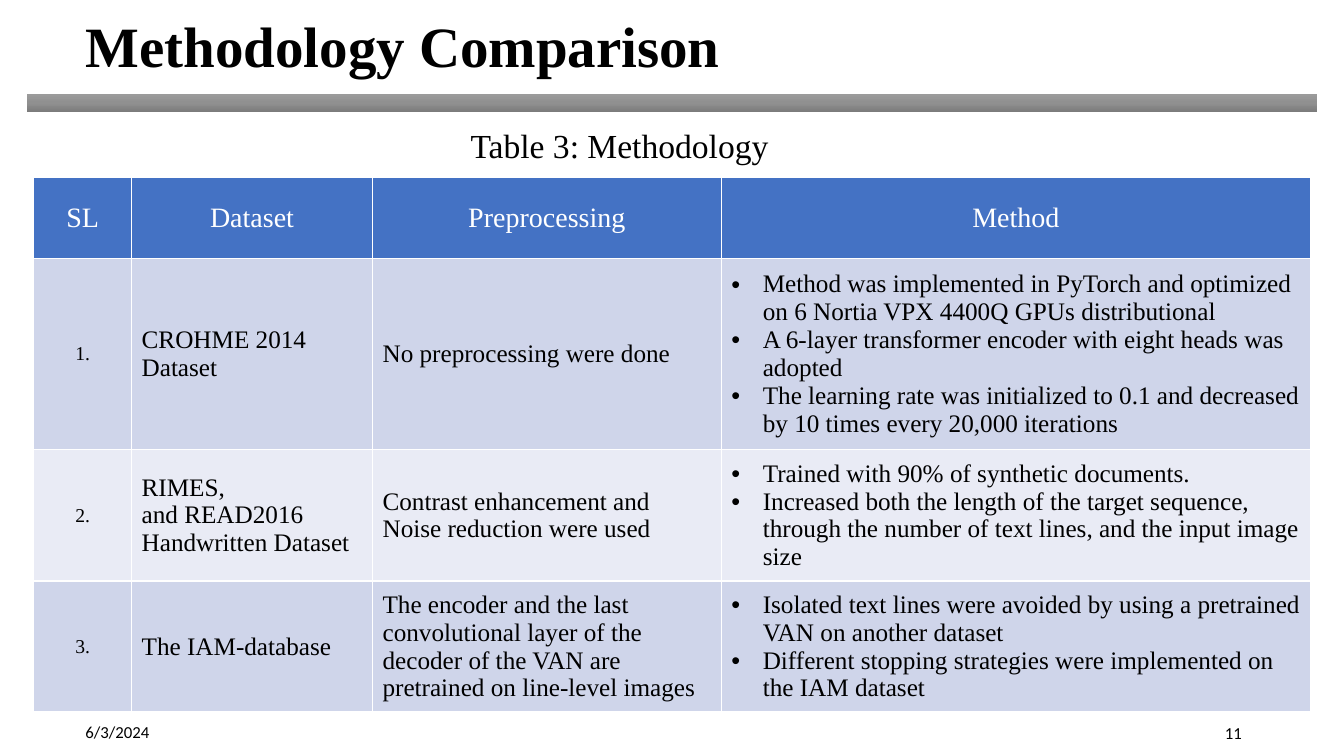
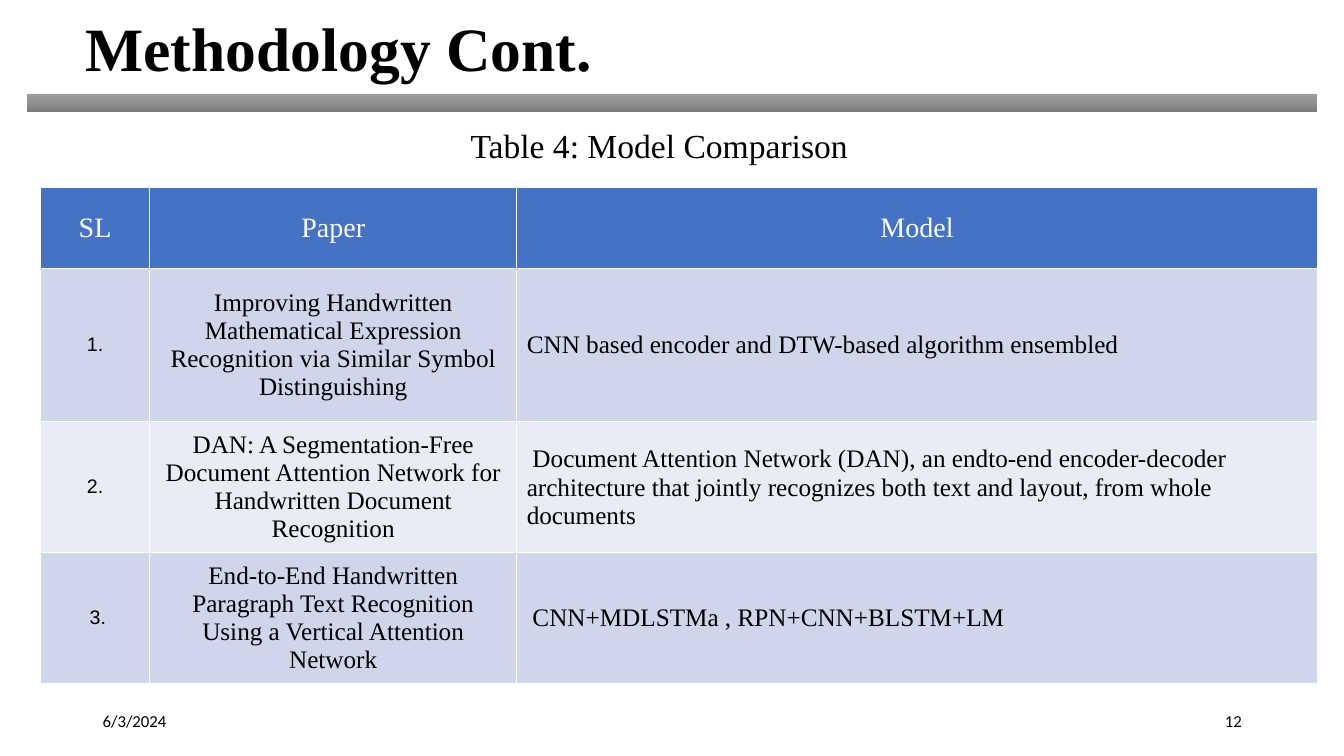
from copy import deepcopy

from lxml import etree
from pptx import Presentation
from pptx.dml.color import RGBColor
from pptx.enum import shapes, text
from pptx.oxml import ns
from pptx.util import Pt

BLACK = RGBColor(0x00, 0x00, 0x00)
WHITE = RGBColor(0xFF, 0xFF, 0xFF)
HEADER = RGBColor(0x44, 0x72, 0xC4)
BANDS = [RGBColor(0xCF, 0xD5, 0xEA), RGBColor(0xE9, 0xEB, 0xF5)]
BAR = [(0, RGBColor(0x9D, 0x9D, 0x9D)), (0.5, RGBColor(0x90, 0x90, 0x90)),
       (1, RGBColor(0x7C, 0x7C, 0x7C))]
SERIF, SANS, ARIAL = "Times New Roman", "Calibri", "Arial"
LEFT, CENTER, RIGHT = text.PP_ALIGN.LEFT, text.PP_ALIGN.CENTER, text.PP_ALIGN.RIGHT
TOP, MIDDLE = text.MSO_ANCHOR.TOP, text.MSO_ANCHOR.MIDDLE
BULLET = "bullet"
NBSP = chr(160)
PAD = (NBSP, SANS)  # no-break space that opens a cell

# Columns: heading, width, style, size, font. A cell is a list of paragraphs,
# a paragraph a list of (text, font) runs or a plain string.
SLIDES = [
    dict(
        title="Methodology Comparison", title_size=40.7,
        caption="Table 3: Methodology", number="11",
        date_at=(54, 508.3), number_top=509,
        table_at=(24.2, 126.9), heights=[57.6, 136.8, 93.6, 93.6],
        cols=[("SL", 69.8, CENTER, 14, SERIF), ("Dataset", 172.1, LEFT, 18, SERIF),
              ("Preprocessing", 249.1, LEFT, 18, SERIF),
              ("Method", 421, BULLET, 18, SERIF)],
        rows=[
            [["1."], ["CROHME 2014 Dataset"], ["No preprocessing were done"],
             ["Method was implemented in PyTorch and optimized on 6 Nortia VPX 4400Q "
              "GPUs distributional",
              "A 6-layer transformer encoder with eight heads was adopted",
              "The learning rate was initialized to 0.1 and decreased by 10 times "
              "every 20,000 iterations"]],
            [["2."], [f"RIMES, and{NBSP}READ2016 Handwritten Dataset"],
             ["Contrast enhancement and Noise reduction were used"],
             ["Trained with 90% of synthetic documents.",
              "Increased both the length of the target sequence, through the number "
              "of text lines, and the input image size"]],
            [["3."], ["The IAM-database"],
             ["The encoder and the last convolutional layer of the decoder of the VAN "
              "are pretrained on line-level images"],
             ["Isolated text lines were avoided by using a pretrained VAN on another "
              "dataset",
              "Different stopping strategies were implemented on the IAM dataset"]],
        ]),
    dict(
        title="Methodology Cont.", title_size=44,
        caption="Table 4: Model Comparison", number="12",
        date_at=(66.2, 500.4), number_top=500.4,
        table_at=(28.8, 133.9), heights=[57.6, 109.4, 93.6, 93.6],
        cols=[("SL", 78.2, CENTER, 14, ARIAL), ("Paper", 262.1, CENTER, 18, SERIF),
              ("Model", 571.9, LEFT, 18, SERIF)],
        rows=[
            [["1."],
             ["Improving Handwritten Mathematical Expression Recognition via Similar "
              "Symbol Distinguishing"],
             ["CNN based encoder and DTW-based algorithm ensembled"]],
            [["2."],
             ["DAN: A Segmentation-Free Document Attention Network for Handwritten "
              "Document Recognition"],
             [[PAD, ("Document Attention Network (DAN), an endto-end encoder-decoder "
                     "architecture that jointly recognizes both text and layout, from "
                     "whole documents", SERIF)]]],
            [[" 3."],
             ["End-to-End Handwritten Paragraph Text Recognition Using a Vertical "
              "Attention Network"],
             [[PAD, (f"CNN+MDLSTMa ,{NBSP}RPN+CNN+BLSTM+LM", SERIF)]]],
        ]),
]


def write(tf, paras, size, font=SERIF, color=BLACK, style=LEFT, bold=False):
    for i, para in enumerate(paras):
        p = tf.paragraphs[0] if i == 0 else tf.add_paragraph()
        p.alignment = LEFT if style == BULLET else style
        if style == BULLET:
            pPr = p._p.get_or_add_pPr()
            pPr.set("marL", str(Pt(22.5)))
            pPr.set("indent", str(-Pt(22.5)))
            etree.SubElement(pPr, ns.qn("a:buFont")).set("typeface", ARIAL)
            etree.SubElement(pPr, ns.qn("a:buChar")).set("char", "•")
        for run_text, run_font in [(para, font)] if isinstance(para, str) else para:
            r = p.add_run()
            r.text = run_text
            r.font.size, r.font.name, r.font.bold = Pt(size), run_font, bold
            r.font.color.rgb = color


def add_text(s, box, line, size, anchor=TOP, **look):
    tf = s.shapes.add_textbox(*map(Pt, box)).text_frame
    tf.word_wrap = True
    tf.vertical_anchor = anchor
    write(tf, [line], size, **look)
    return tf


prs = Presentation()
prs.slide_width, prs.slide_height = Pt(960), Pt(540)

for d in SLIDES:
    s = prs.slides.add_slide(prs.slide_layouts[6])

    # Title and caption
    tf = add_text(s, (54, 9.4, 503.3, 60.5), d["title"], d["title_size"], bold=True)
    tf.paragraphs[0].line_spacing = 0.9
    add_text(s, (329, 85.7, 349.2, 36), d["caption"], 24)

    # Gradient bar under the title
    bar = s.shapes.add_shape(shapes.MSO_SHAPE.RECTANGLE,
                             Pt(18.7), Pt(66.5), Pt(922.3), Pt(13.7))
    bar.shadow.inherit = False
    bar.fill.gradient()
    bar.fill.gradient_angle = 270
    gs = bar._element.spPr.find(".//" + ns.qn("a:gs"))
    gs.addnext(deepcopy(gs))
    for stop, (position, color) in zip(bar.fill.gradient_stops, BAR):
        stop.position = position
        stop.color.rgb = color
    bar.line.color.rgb = WHITE
    bar.line.width = Pt(0.5)

    # Table
    cols, heights = d["cols"], d["heights"]
    x, y = d["table_at"]
    tbl = s.shapes.add_table(len(heights), len(cols), Pt(x), Pt(y),
                             Pt(sum(c[1] for c in cols)), Pt(sum(heights))).table
    tbl.first_row = tbl.horz_banding = False
    for row, height in zip(tbl.rows, heights):
        row.height = Pt(height)
    for j, (heading, width, style, size, font) in enumerate(cols):
        tbl.columns[j].width = Pt(width)
        for i in range(len(heights)):
            cell = tbl.cell(i, j)
            cell.vertical_anchor = MIDDLE
            tcPr = cell._tc.get_or_add_tcPr()
            for side in ("lnL", "lnR", "lnT", "lnB"):
                ln = etree.SubElement(tcPr, ns.qn("a:" + side), w=str(Pt(1)))
                fill = etree.SubElement(ln, ns.qn("a:solidFill"))
                etree.SubElement(fill, ns.qn("a:srgbClr"), val=str(WHITE))
            cell.fill.solid()
            if i == 0:
                cell.fill.fore_color.rgb = HEADER
                write(cell.text_frame, [heading], 20, color=WHITE, style=CENTER)
            else:
                cell.fill.fore_color.rgb = BANDS[(i - 1) % 2]
                write(cell.text_frame, d["rows"][i - 1][j], size, font, style=style)

    # Footer: date and slide number
    add_text(s, (*d["date_at"], 216, 28.8), "6/3/2024", 12, MIDDLE, font=SANS)
    add_text(s, (678.2, d["number_top"], 216, 28.8), d["number"], 12, MIDDLE,
             font=SANS, style=RIGHT)

prs.save("out.pptx")
